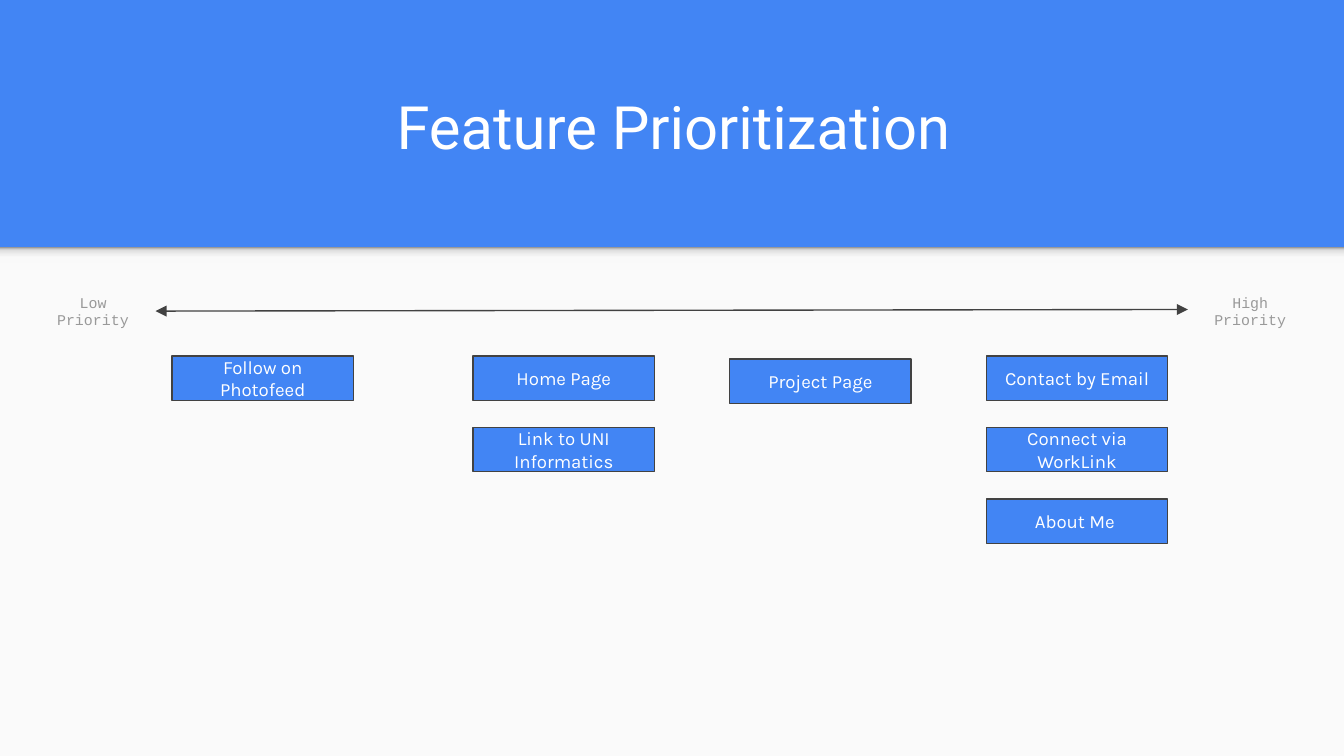
from lxml import etree
from pptx import Presentation
from pptx.dml.color import RGBColor
from pptx.enum.shapes import MSO_CONNECTOR, MSO_SHAPE
from pptx.enum.text import MSO_ANCHOR, PP_ALIGN
from pptx.oxml.ns import qn
from pptx.util import Cm, Pt

RECTANGLE = MSO_SHAPE.RECTANGLE
STRAIGHT = MSO_CONNECTOR.STRAIGHT
CENTER = PP_ALIGN.CENTER
MIDDLE, BOTTOM = MSO_ANCHOR.MIDDLE, MSO_ANCHOR.BOTTOM

BLUE, PAPER, WHITE, DARK, GREY = "4285F4", "FAFAFA", "FFFFFF", "424242", "999999"
SHADE_STOPS = [(0, "F9F9F9"), (36, "F9F9F9"), (80, "DEDEDE"), (100, "999999")]
SLIDE_WIDTH, SLIDE_HEIGHT, BANNER_HEIGHT = 25.4, 14.29, 4.67
CARD_WIDTH, CARD_HEIGHT, CARD_PITCH = 3.43, 0.84, 1.35

FEATURES = [
    (0, 0, ["Follow on Photofeed"]),
    (5.69, 0, ["Home Page", "Link to UNI Informatics"]),
    (10.54, 0.06, ["Project Page"]),
    (15.39, 0, ["Contact by Email", "Connect via WorkLink", "About Me "]),
]


def color(hex_code):
    """Turn a hex string into a colour."""
    return RGBColor.from_string(hex_code)


def write(shape, text, font, size, hex_code, anchor=MIDDLE):
    """Put centred, formatted text into a shape."""
    frame = shape.text_frame
    frame.text = text
    frame.word_wrap = True
    frame.vertical_anchor = anchor
    frame.margin_left = frame.margin_right = Cm(0.25)
    frame.margin_top = frame.margin_bottom = Cm(0.25)
    paragraph = frame.paragraphs[0]
    paragraph.alignment = CENTER
    style = paragraph.runs[0].font
    style.name, style.size = font, Pt(size)
    style.color.rgb = color(hex_code)


def add_label(slide, left, top, width, height, text, font, size, hex_code, anchor=MIDDLE):
    """Add a text box with one line of wording."""
    label = slide.shapes.add_textbox(Cm(left), Cm(top), Cm(width), Cm(height))
    write(label, text, font, size, hex_code, anchor)


def add_block(slide, left, top, width, height, fill, outline=None):
    """Add a flat rectangle with an optional outline."""
    block = slide.shapes.add_shape(RECTANGLE, Cm(left), Cm(top), Cm(width), Cm(height))
    block.shadow.inherit = False
    block.fill.solid()
    block.fill.fore_color.rgb = color(fill)
    if outline:
        block.line.color.rgb = color(outline)
        block.line.width = Pt(0.75)
    else:
        block.line.fill.background()
    return block


def shade(block, stops):
    """Fill a block with an upward gradient."""
    block.fill.gradient()
    block.fill.gradient_angle = 90
    stop_list = block.fill._xPr.find(qn("a:gradFill")).find(qn("a:gsLst"))
    for old_stop in list(stop_list):
        stop_list.remove(old_stop)
    for percent, hex_code in stops:
        stop = etree.SubElement(stop_list, qn("a:gs"), pos=str(percent * 1000))
        etree.SubElement(stop, qn("a:srgbClr"), val=hex_code)


def build_backdrop(slide, top, width, height):
    """Lay the blue ground, the pale page and the banner's soft edge."""
    slide.background.fill.solid()
    slide.background.fill.fore_color.rgb = color(BLUE)
    add_block(slide, 0, top, width, height, PAPER)
    shade(add_block(slide, 0, top, width, 0.3, PAPER), SHADE_STOPS)


def build_scale(slide, left, top, width, height):
    """Draw the double-headed priority axis with its end labels."""
    label_width = 2.36
    start, end = left + label_width, left + width - label_width
    middle = top + height / 2
    axis = slide.shapes.add_connector(
        STRAIGHT, Cm(start), Cm(middle), Cm(end), Cm(middle - 0.03))
    axis.line.color.rgb = color(DARK)
    axis.line.width = Pt(0.75)
    outline = axis.line._get_or_add_ln()
    for arrow_end in ("a:headEnd", "a:tailEnd"):
        etree.SubElement(outline, qn(arrow_end), type="triangle", w="med", len="med")
    etree.SubElement(axis._element.spPr, qn("a:effectLst"))
    for label_left, text in ((left, "Low Priority"), (end, "High Priority")):
        add_label(slide, label_left, top, label_width, height, text, "Courier New", 8, GREY)


def build_features(slide, left, top):
    """Stack the feature cards in columns along the axis."""
    for column_offset, drop, names in FEATURES:
        for row, name in enumerate(names):
            card = add_block(slide, left + column_offset, top + drop + row * CARD_PITCH,
                             CARD_WIDTH, CARD_HEIGHT, BLUE, DARK)
            write(card, name, "Karla", 10, WHITE)


def build_slide(presentation):
    """Build the feature prioritization slide."""
    slide = presentation.slides.add_slide(presentation.slide_layouts[6])
    build_backdrop(slide, BANNER_HEIGHT, SLIDE_WIDTH, SLIDE_HEIGHT - BANNER_HEIGHT)
    add_label(slide, 1.32, 1.17, 22.83, 2.13, "Feature Prioritization",
              "Roboto", 32, WHITE, BOTTOM)
    build_scale(slide, 0.58, 5.42, 24.23, 0.92)
    build_features(slide, 3.25, 6.73)


presentation = Presentation()
presentation.slide_width = Cm(SLIDE_WIDTH)
presentation.slide_height = Cm(SLIDE_HEIGHT)
build_slide(presentation)
presentation.save("out.pptx")
